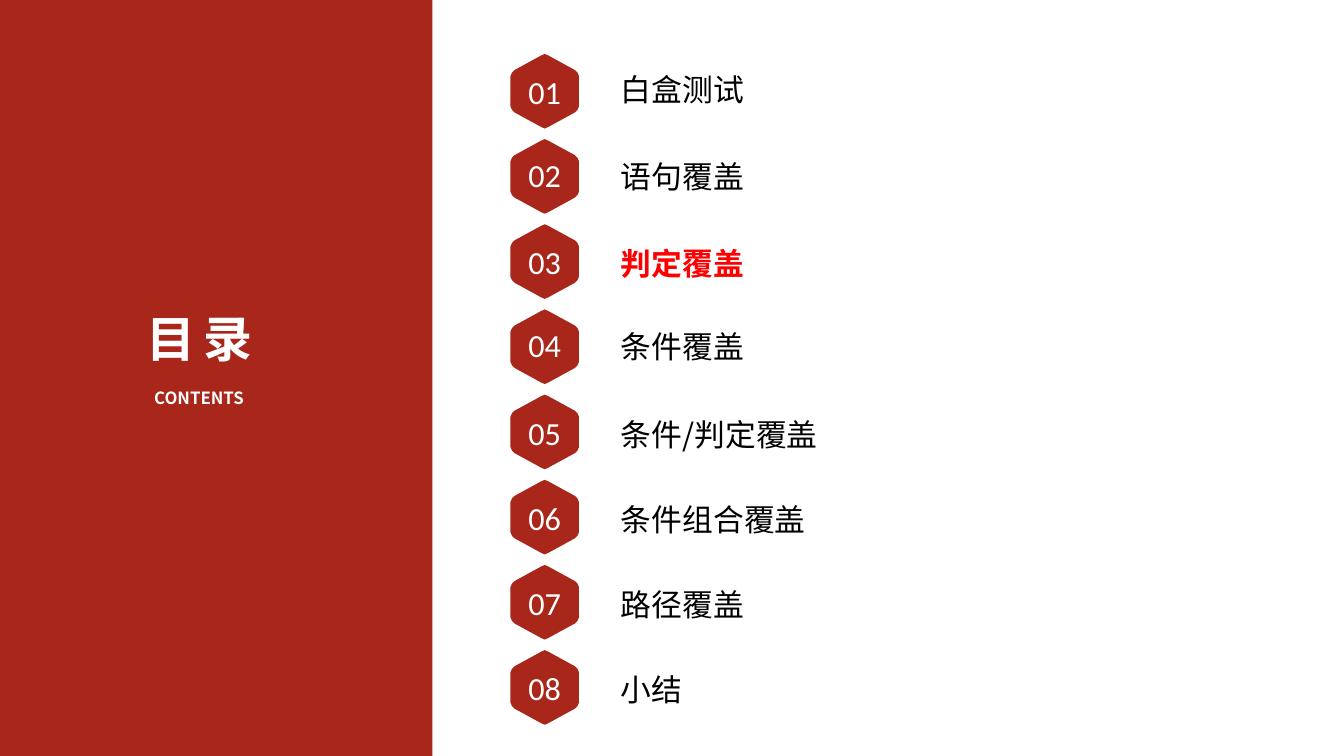
import dataclasses

import lxml.etree
import pptx
import pptx.dml.color
import pptx.enum.shapes
import pptx.enum.text
import pptx.oxml.ns
import pptx.util


@dataclasses.dataclass(frozen=True)
class Theme:
    brand: str = "A8271A"
    light: str = "FFFFFF"
    dark: str = "000000"
    highlight: str = "FF0000"
    text_font: str = "Noto Sans CJK SC"
    number_font: str = "Calibri"
    heading_size: int = 70
    subheading_size: int = 24
    topic_size: int = 44
    number_size: int = 46


COLUMNS, ROWS = 26.67, 15
BADGE_CENTER, FIRST_ROW, ROW_PITCH = 10.81, 1.81, 1.69
QUARTER = [(0, 0.74), (0.07, 0.71), (0.6, 0.42), (0.65, 0.37), (0.68, 0.3)]
HALF = QUARTER + [(x, -y) for x, y in reversed(QUARTER)]
HEXAGON = HALF + [(-x, -y) for x, y in HALF]
TOPICS = [
    ("白盒测试", -0.08, 0),
    ("语句覆盖", -0.05, -0.04),
    ("判定覆盖", 0, 0),
    ("条件覆盖", -0.04, -0.04),
    ("条件/判定覆盖", 0, 0),
    ("条件组合覆盖", 0, 0),
    ("路径覆盖", 0, 0),
    ("小结", 0, 0),
]
CURRENT_TOPIC = "判定覆盖"


class SlideBuilder:
    def __init__(self, presentation, theme):
        self.theme = theme
        self.slide = presentation.slides.add_slide(presentation.slide_layouts[6])
        self.shapes = self.slide.shapes
        self.column = presentation.slide_width / COLUMNS
        self.row = presentation.slide_height / ROWS

    def start_group(self):
        self.shapes = self.slide.shapes.add_group_shape().shapes

    def place(self, column, row):
        return round(column * self.column), round(row * self.row)

    def paint(self, shape, color):
        shape.shadow.inherit = False
        shape.fill.solid()
        shape.fill.fore_color.rgb = pptx.dml.color.RGBColor.from_string(color)
        shape.line.fill.background()

    def panel(self, left, top, width, height):
        shape = self.shapes.add_shape(
            pptx.enum.shapes.MSO_SHAPE.RECTANGLE,
            *self.place(left, top), *self.place(width, height),
        )
        self.paint(shape, self.theme.brand)

    def hexagon(self, center_column, center_row):
        points = [self.place(center_column + x, center_row + y) for x, y in HEXAGON]
        builder = self.shapes.build_freeform(*points[0])
        builder.add_line_segments(points[1:], close=True)
        self.paint(builder.convert_to_shape(), self.theme.brand)

    def text(self, content, box, size, color, font=None, bold=False,
             centered=False, middle=False, spacing=0):
        left, top, width, height = box
        shape = self.shapes.add_textbox(*self.place(left, top), *self.place(width, height))
        frame = shape.text_frame
        frame.word_wrap = True
        frame.margin_left = frame.margin_right = pptx.util.Inches(0.05)
        frame.margin_top = frame.margin_bottom = pptx.util.Inches(0.05)
        anchors = pptx.enum.text.MSO_ANCHOR
        frame.vertical_anchor = anchors.MIDDLE if middle else anchors.TOP
        paragraph = frame.paragraphs[0]
        alignments = pptx.enum.text.PP_ALIGN
        paragraph.alignment = alignments.CENTER if centered else alignments.LEFT
        run = paragraph.add_run()
        run.text = content
        run.font.name = font or self.theme.text_font
        run.font.size = pptx.util.Pt(size)
        run.font.bold = bold
        run.font.color.rgb = pptx.dml.color.RGBColor.from_string(color)
        properties = run.font._element
        east_asian = lxml.etree.SubElement(properties, pptx.oxml.ns.qn("a:ea"))
        east_asian.set("typeface", self.theme.text_font)
        if spacing:
            properties.set("spc", str(round(spacing * 100)))

    def topic(self, index, title, title_shift, number_shift):
        theme = self.theme
        center = FIRST_ROW + index * ROW_PITCH
        current = title == CURRENT_TOPIC
        self.start_group()
        self.hexagon(BADGE_CENTER, center)
        self.text(f"{index + 1:02d}", (9.94, center - 0.52 + number_shift, 1.74, 1.05),
                  theme.number_size, theme.light, font=theme.number_font,
                  centered=True, middle=True)
        self.text(title, (12.27, center - 0.38 + title_shift, 6.11, 0.78),
                  theme.topic_size, theme.highlight if current else theme.dark,
                  bold=current)


def main():
    presentation = pptx.Presentation()
    presentation.slide_width = pptx.util.Inches(COLUMNS)
    presentation.slide_height = pptx.util.Inches(ROWS)
    theme = Theme()
    builder = SlideBuilder(presentation, theme)
    builder.panel(0, 0, 8.58, ROWS)
    builder.start_group()
    builder.text("CONTENTS", (1.87, 7.64, 4.16, 0.99), theme.subheading_size,
                 theme.light, bold=True, centered=True)
    builder.text("目录", (1.12, 6.08, 5.68, 2.85), theme.heading_size,
                 theme.light, bold=True, centered=True, spacing=11.7)
    for index, topic in enumerate(TOPICS):
        builder.topic(index, *topic)
    presentation.save("out.pptx")


if __name__ == "__main__":
    main()
